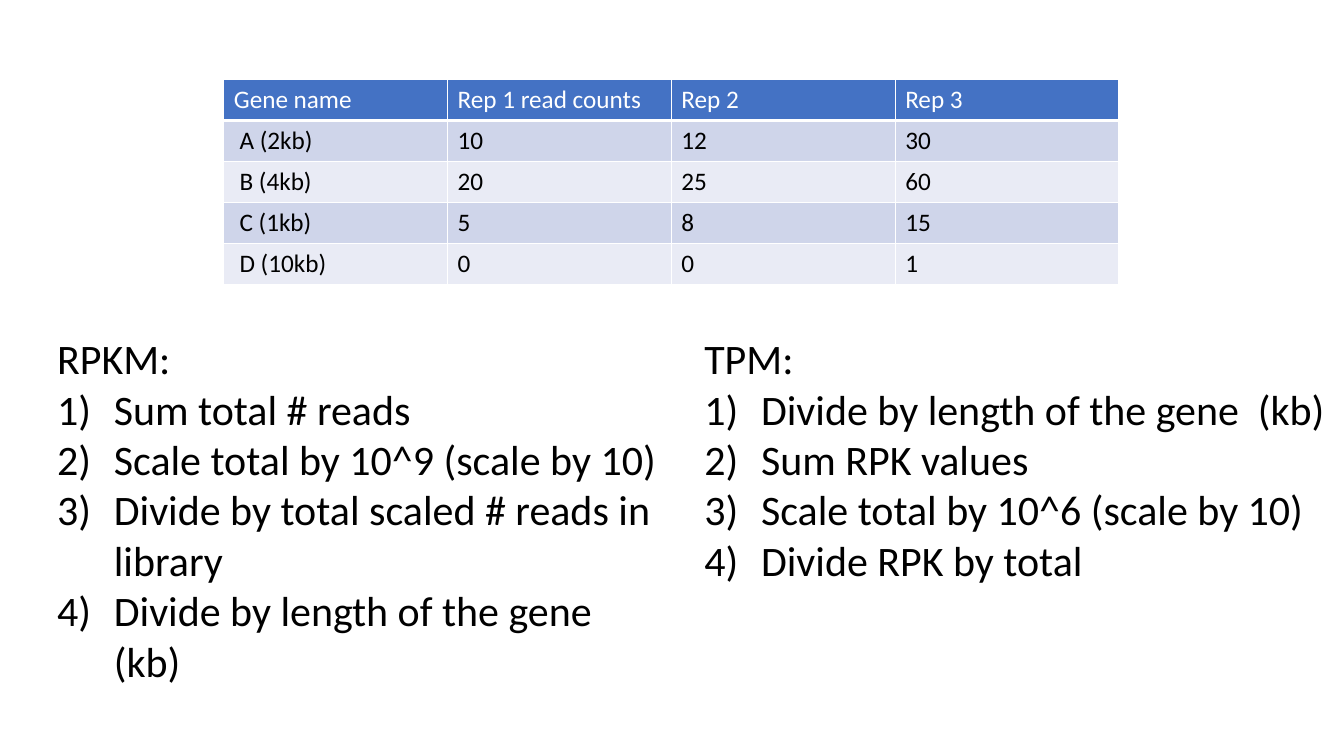
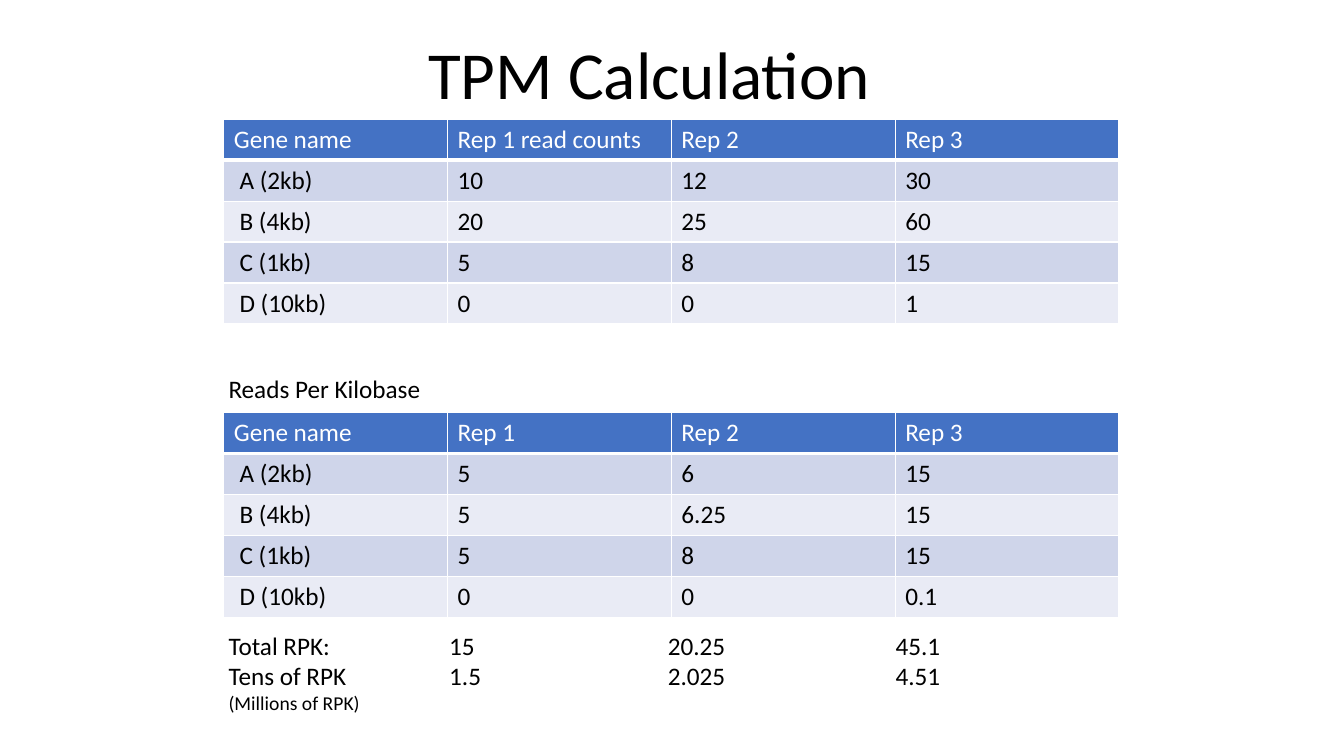
from dataclasses import dataclass

from lxml.etree import SubElement
from pptx import Presentation
from pptx.dml.color import RGBColor
from pptx.enum.text import MSO_AUTO_SIZE as AutoSize
from pptx.oxml.ns import qn
from pptx.slide import Slide
from pptx.table import _Cell as Cell
from pptx.text.text import _Paragraph as Paragraph
from pptx.util import Cm, Pt

COLORS = {
    "header": "4472C4",
    "odd_row": "CFD5EA",
    "even_row": "E9EBF5",
    "white": "FFFFFF",
    "black": "000000",
}
FONT = "Calibri"
BODY_SIZE = 18
TABLE_LEFT = 5.64
COLUMN_WIDTH = 5.64
ROW_HEIGHT = 1.03
NUMBER_INDENT = 1.43
TOTAL_TABS = (5.56, 11.07, 16.81)


@dataclass(frozen=True)
class Line:
    """One paragraph of a text box."""
    text: str
    size: int = BODY_SIZE
    numbered: bool = False
    tabs: tuple[float, ...] = ()


@dataclass(frozen=True)
class TextBlock:
    """A text box, placed in centimetres."""
    left: float
    top: float
    width: float
    height: float
    lines: tuple[Line, ...]
    wrap: bool = True


@dataclass(frozen=True)
class GeneTable:
    """A table with one row per gene, placed by its top in centimetres."""
    top: float
    rows: tuple[tuple[str, ...], ...]


def rgb(name: str) -> RGBColor:
    """Return a palette colour."""
    return RGBColor.from_string(COLORS[name])


def write_text(para: Paragraph, text: str, *, size: int = BODY_SIZE,
               color: str = "black") -> None:
    """Add formatted text to a paragraph."""
    span = para.add_run()
    span.text = text
    span.font.name = FONT
    span.font.size = Pt(size)
    span.font.bold = False
    span.font.color.rgb = rgb(color)


def number_paragraph(para: Paragraph) -> None:
    """Number a paragraph as 1), 2), 3) with a hanging indent."""
    props = para._p.get_or_add_pPr()
    props.set("marL", str(Cm(NUMBER_INDENT)))
    props.set("indent", str(-Cm(NUMBER_INDENT)))
    SubElement(props, qn("a:buFont"), typeface="+mj-lt")
    SubElement(props, qn("a:buAutoNum"), type="arabicParenR")


def set_tabs(para: Paragraph, positions: tuple[float, ...]) -> None:
    """Give a paragraph left tab stops."""
    tab_list = SubElement(para._p.get_or_add_pPr(), qn("a:tabLst"))
    for position in positions:
        SubElement(tab_list, qn("a:tab"), pos=str(Cm(position)), algn="l")


def draw_text(page: Slide, block: TextBlock) -> None:
    """Draw a text box with its lines."""
    box = page.shapes.add_textbox(Cm(block.left), Cm(block.top),
                                  Cm(block.width), Cm(block.height))
    frame = box.text_frame
    frame.word_wrap = block.wrap
    frame.auto_size = AutoSize.SHAPE_TO_FIT_TEXT
    for index, line in enumerate(block.lines):
        para = frame.add_paragraph() if index else frame.paragraphs[0]
        if line.numbered:
            number_paragraph(para)
        if line.tabs:
            set_tabs(para, line.tabs)
        write_text(para, line.text, size=line.size)


def set_borders(cell: Cell, bottom: int) -> None:
    """Put white borders on a cell, with the given bottom width in points."""
    props = cell._tc.get_or_add_tcPr()
    for side, width in (("L", 1), ("R", 1), ("T", 1), ("B", bottom)):
        border = SubElement(props, qn(f"a:ln{side}"), w=str(Pt(width)))
        fill = SubElement(border, qn("a:solidFill"))
        SubElement(fill, qn("a:srgbClr"), val=COLORS["white"])


def draw_table(page: Slide, spec_table: GeneTable) -> None:
    """Draw a gene table with a header and alternating rows."""
    row_count, column_count = len(spec_table.rows), len(spec_table.rows[0])
    table = page.shapes.add_table(
        row_count, column_count, Cm(TABLE_LEFT), Cm(spec_table.top),
        Cm(COLUMN_WIDTH * column_count), Cm(ROW_HEIGHT * row_count)).table
    for column in table.columns:
        column.width = Cm(COLUMN_WIDTH)
    for row_index, values in enumerate(spec_table.rows):
        table.rows[row_index].height = Cm(ROW_HEIGHT)
        is_header = row_index == 0
        band = "header" if is_header else ("even_row", "odd_row")[row_index % 2]
        for column_index, value in enumerate(values):
            cell = table.cell(row_index, column_index)
            set_borders(cell, bottom=3 if is_header else 1)
            cell.fill.solid()
            cell.fill.fore_color.rgb = rgb(band)
            write_text(cell.text_frame.paragraphs[0], value,
                       color="white" if is_header else "black")


def method_lines(name: str, *steps: str) -> tuple[Line, ...]:
    """Return a method name followed by its numbered steps."""
    return (Line(name, 30), *(Line(step, 30, numbered=True) for step in steps))


READ_COUNTS = (
    ("Gene name", "Rep 1 read counts", "Rep 2", "Rep 3"),
    (" A (2kb)", "10", "12", "30"),
    (" B (4kb)", "20", "25", "60"),
    (" C (1kb)", "5", "8", "15"),
    (" D (10kb)", "0", "0", "1"),
)
READS_PER_KILOBASE = (
    ("Gene name", "Rep 1", "Rep 2", "Rep 3"),
    (" A (2kb)", "5", "6", "15"),
    (" B (4kb)", "5", "6.25", "15"),
    (" C (1kb)", "5", "8", "15"),
    (" D (10kb)", "0", "0", "0.1"),
)
METHODS_PAGE = (
    GeneTable(2.01, READ_COUNTS),
    TextBlock(1.19, 8.26, 15.75, 9.25, method_lines(
        "RPKM:",
        "Sum total # reads",
        "Scale total by 10^9 (scale by 10)",
        "Divide by total scaled # reads in library",
        "Divide by length of the gene  (kb)")),
    TextBlock(17.5, 8.26, 17.02, 6.68, method_lines(
        "TPM:",
        "Divide by length of the gene  (kb)",
        "Sum RPK values",
        "Scale total by 10^6 (scale by 10)",
        "Divide RPK by total")),
)
CALCULATION_PAGE = (
    GeneTable(3.01, READ_COUNTS),
    TextBlock(10.54, 0.69, 11.79, 2.31, (Line("TPM Calculation", 48),),
              wrap=False),
    GeneTable(10.4, READS_PER_KILOBASE),
    TextBlock(5.51, 9.27, 5.54, 1.02, (Line("Reads Per Kilobase"),),
              wrap=False),
    TextBlock(5.51, 15.75, 20.68, 2.39, (
        Line("Total RPK:\t15\t20.25\t45.1", tabs=TOTAL_TABS),
        Line("Tens of RPK\t1.5\t2.025\t4.51", tabs=TOTAL_TABS),
        Line("(Millions of RPK)", 14))),
)


def build_deck() -> None:
    """Build and save both slides."""
    deck = Presentation()
    deck.slide_width, deck.slide_height = Cm(33.87), Cm(19.05)
    for items in (METHODS_PAGE, CALCULATION_PAGE):
        page = deck.slides.add_slide(deck.slide_layouts[6])
        for item in items:
            if isinstance(item, GeneTable):
                draw_table(page, item)
            else:
                draw_text(page, item)
    deck.save("out.pptx")


build_deck()
